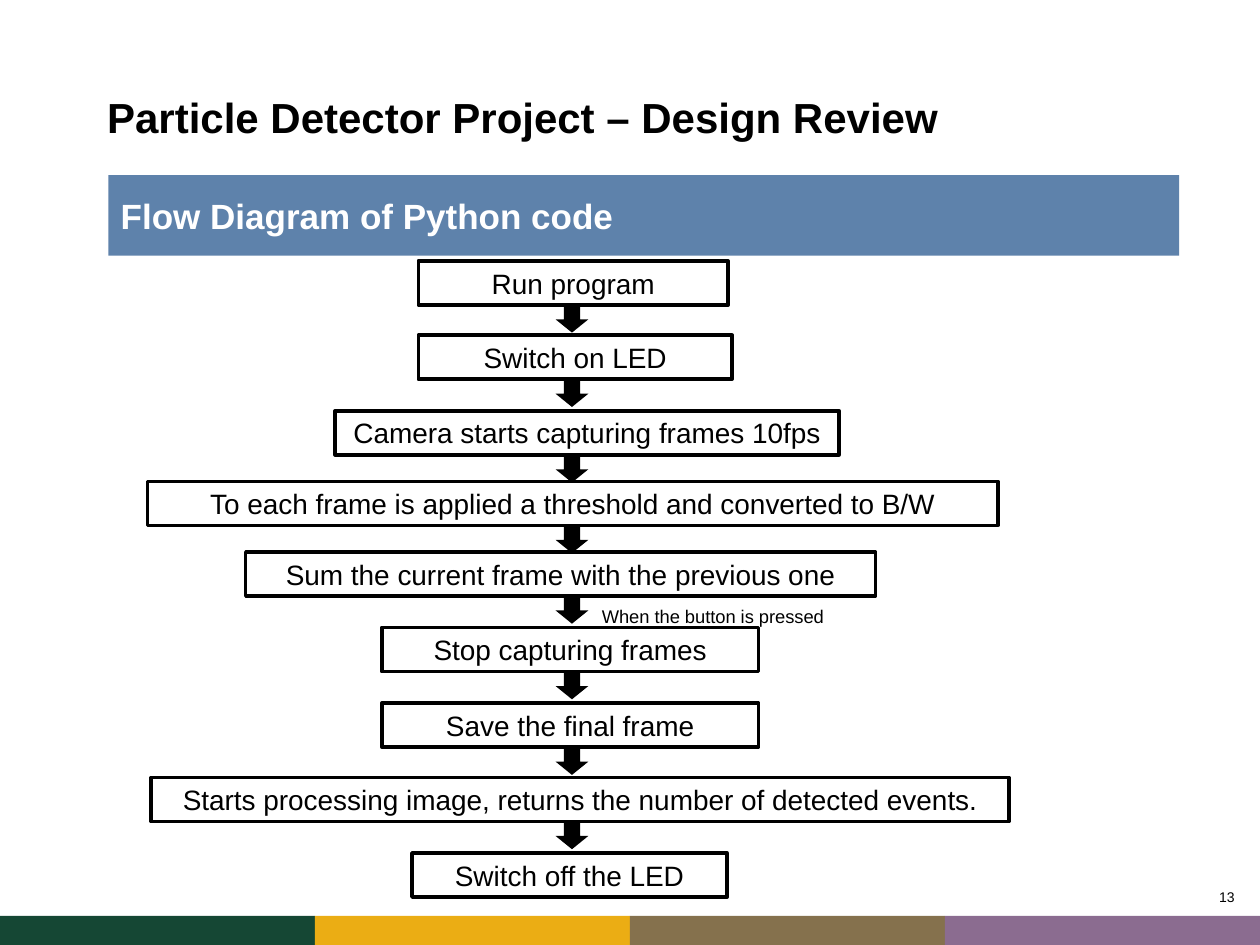
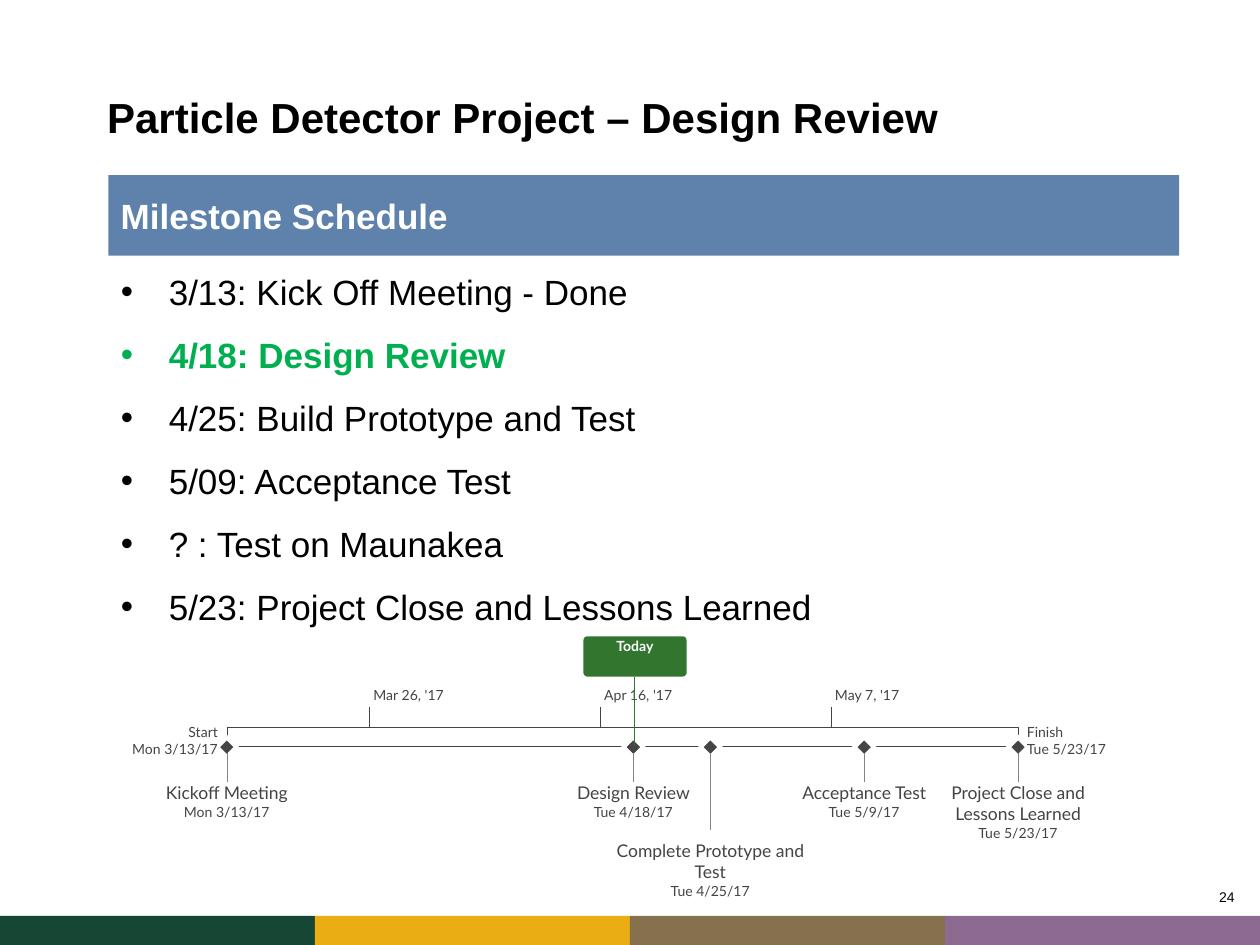
import pptx
import pptx.dml.color
import pptx.enum.shapes
import pptx.enum.text
import pptx.util

TITLE = "Particle Detector Project – Design Review"
BLACK, WHITE, BAND, GREEN = "000000", "FFFFFF", "5E82AB", "00B050"
INK, STEM, TODAY = "444444", "848484", "31752F"
FOOTER = ["154734", "EBAD14", "85714D", "8B6C90"]

STEPS = [
    ("Run program", 3.32, 2.07, 2.46),
    ("Switch on LED", 3.32, 2.66, 2.49),
    ("Camera starts capturing frames 10fps", 2.66, 3.26, 4),
    ("To each frame is applied a threshold and converted to B/W", 1.17, 3.82, 6.75),
    ("Sum the current frame with the previous one", 1.95, 4.38, 5),
    ("Stop capturing frames", 3.03, 4.98, 2.99),
    ("Save the final frame", 3.03, 5.58, 2.99),
    ("Starts processing image, returns the number of detected events.", 1.2, 6.17, 6.81),
    ("Switch off the LED", 3.27, 6.77, 2.5),
]
SCHEDULE = [
    "3/13: Kick Off Meeting - Done",
    "4/18: Design Review",
    "4/25: Build Prototype and Test",
    "5/09: Acceptance Test",
    "? : Test on Maunakea",
    "5/23: Project Close and Lessons Learned",
]
CURRENT = "4/18: Design Review"
TICKS = [("Mar 26, '17", 13), ("Apr 16, '17", 34), ("May 7, '17", 55)]
MILESTONES = [
    ("Kickoff Meeting", "Mon 3/13/17", 0, 1.3, 6.21, 6.21),
    ("Design Review", "Tue 4/18/17", 37, 1.74, 6.21, 6.21),
    ("Complete Prototype and Test", "Tue 4/25/17", 44, 1.7, 6.59, 6.67),
    ("Acceptance Test", "Tue 5/9/17", 58, 1.39, 6.21, 6.21),
    ("Project Close and Lessons Learned", "Tue 5/23/17", 72, 1.56, 6.21, 6.21),
]
TODAY_DAY, LAST_DAY = 37, 72
LINE_LEFT, LINE_WIDTH, LINE_TOP, LINE_HEIGHT = 1.8, 6.28, 5.77, 0.15
MILESTONE_ROW = 5.93
HAIRLINE = 0.25

COLUMNS, ROWS = 10, 7.5
SHAPES = pptx.enum.shapes.MSO_SHAPE
ALIGN = pptx.enum.text.PP_ALIGN
ANCHOR = pptx.enum.text.MSO_ANCHOR

deck = pptx.Presentation()
deck.slide_width = pptx.util.Inches(COLUMNS)
deck.slide_height = pptx.util.Inches(ROWS)


def color(value):
    return pptx.dml.color.RGBColor.from_string(value)


def grid(*cells):
    return [round(cell * deck.slide_width / COLUMNS) for cell in cells]


def write(box, text, size, ink=BLACK, align=ALIGN.LEFT, anchor=ANCHOR.TOP,
          bold=False, font="Arial", insets=None, wrap=True):
    frame = box.text_frame
    frame.text = text
    frame.word_wrap = wrap
    frame.auto_size = pptx.enum.text.MSO_AUTO_SIZE.NONE
    frame.vertical_anchor = anchor
    if insets:
        (frame.margin_left, frame.margin_top,
         frame.margin_right, frame.margin_bottom) = grid(*insets)
    for para in frame.paragraphs:
        para.alignment = align
        for span in para.runs:
            span.font.name = font
            span.font.size = pptx.util.Pt(size)
            span.font.bold = bold
            span.font.color.rgb = color(ink)
    return frame


def add_block(page, kind, place, fill, line=None, weight=HAIRLINE):
    block = page.shapes.add_shape(kind, *grid(*place))
    block.shadow.inherit = False
    block.fill.solid()
    block.fill.fore_color.rgb = color(fill)
    if line:
        block.line.color.rgb = color(line)
        block.line.width = pptx.util.Pt(weight)
    else:
        block.line.fill.background()
    return block


def add_text(page, place, text, size, **style):
    return write(page.shapes.add_textbox(*grid(*place)), text, size, **style)


def add_stem(page, x, top, bottom, ink):
    stem = page.shapes.add_connector(
        pptx.enum.shapes.MSO_CONNECTOR.STRAIGHT, *grid(x, top, x, bottom))
    stem.line.color.rgb = color(ink)
    stem.line.width = pptx.util.Pt(HAIRLINE)
    properties = stem._element.spPr
    properties.append(properties.makeelement(pptx.oxml.ns.qn("a:effectLst"), {}))


def move(shape, place):
    shape.left, shape.top, shape.width, shape.height = grid(*place)


def add_page(layout, heading, number):
    page = deck.slides.add_slide(deck.slide_layouts[layout])
    move(page.shapes.title, (0.75, 0.64, 8.61, 0.58))
    write(page.shapes.title, TITLE, 24, bold=True, anchor=ANCHOR.MIDDLE)
    band = add_block(page, SHAPES.RECTANGLE, (0.86, 1.39, 8.5, 0.64), BAND)
    write(band, heading, 20, WHITE, bold=True, anchor=ANCHOR.MIDDLE)
    add_text(page, (7.75, 7, 2.25, 0.25), number, 8, align=ALIGN.RIGHT,
             insets=(0.1, 0.05, 0.2, 0.05))
    width = COLUMNS / len(FOOTER)
    for index, fill in enumerate(FOOTER):
        add_block(page, SHAPES.RECTANGLE, (index * width, 7.27, width, 0.23), fill)
    return page


def add_flow(page):
    for index, (text, left, top, width) in enumerate(STEPS):
        box = add_block(page, SHAPES.RECTANGLE, (left, top, width, 0.35), WHITE, BLACK, 2)
        write(box, text, 16, align=ALIGN.CENTER, anchor=ANCHOR.MIDDLE)
        if index < len(STEPS) - 1:
            add_block(page, SHAPES.DOWN_ARROW, (4.41, top + 0.36, 0.26, 0.21), BLACK)
    add_text(page, (4.66, 4.75, 2, 0.28), "When the button is pressed", 10.5,
             align=ALIGN.CENTER, wrap=False)


def add_schedule(page):
    body = page.placeholders[1]
    move(body, (0.86, 2.1, 8.5, 2.96))
    indent = grid(0.38)[0]
    for para in write(body, "\n".join(SCHEDULE), 20).paragraphs:
        para.space_before = pptx.util.Pt(12)
        properties = para._p.get_or_add_pPr()
        properties.set("marL", str(indent))
        properties.set("indent", str(-indent))
        if para.text == CURRENT:
            para.runs[0].font.bold = True
            para.runs[0].font.color.rgb = color(GREEN)


def day_x(day):
    return LINE_LEFT + LINE_WIDTH * day / LAST_DAY


def add_timeline(page):
    label = {"ink": INK, "font": "Lato", "insets": (0, 0, 0, 0)}
    add_block(page, SHAPES.RECTANGLE, (LINE_LEFT, LINE_TOP, LINE_WIDTH, LINE_HEIGHT), WHITE, INK)
    for text, day in TICKS:
        x = day_x(day)
        add_text(page, (x + 0.03, 5.45, 1.07, 0.32), text, 8, **label)
        add_stem(page, x, 5.61, LINE_TOP, INK)
    for name, date, day, width, stem_end, top in MILESTONES:
        x = day_x(day)
        for size, fill, line in ((0.2, WHITE, None), (0.1, INK, INK)):
            place = (x - size / 2, MILESTONE_ROW - size / 2, size, size)
            add_block(page, SHAPES.DIAMOND, place, fill, line)
        add_stem(page, x, 5.98, stem_end, STEM)
        frame = add_text(page, (x - width / 2, top, width, 0.55), name + "\n" + date, 10,
                         align=ALIGN.CENTER, **label)
        frame.paragraphs[1].runs[0].font.size = pptx.util.Pt(8)
    add_text(page, (0.31, 5.74, 1.42, 0.65), "Start\nMon 3/13/17", 8,
             align=ALIGN.RIGHT, **label)
    add_text(page, (8.15, 5.74, 1.21, 0.65), "Finish\nTue 5/23/17", 8, **label)
    flag = add_block(page, SHAPES.ROUNDED_RECTANGLE, (4.63, 5.05, 0.82, 0.32), TODAY)
    flag.adjustments[0] = 0.1
    write(flag, "Today", 8, WHITE, ALIGN.CENTER, bold=True, font="Lato", insets=(0, 0, 0, 0))
    add_stem(page, day_x(TODAY_DAY) + 0.01, 5.37, 5.92, TODAY)


def main():
    add_flow(add_page(5, "Flow Diagram of Python code", "13"))
    page = add_page(1, "Milestone Schedule", "24")
    add_schedule(page)
    add_timeline(page)
    deck.save("out.pptx")


if __name__ == "__main__":
    main()
